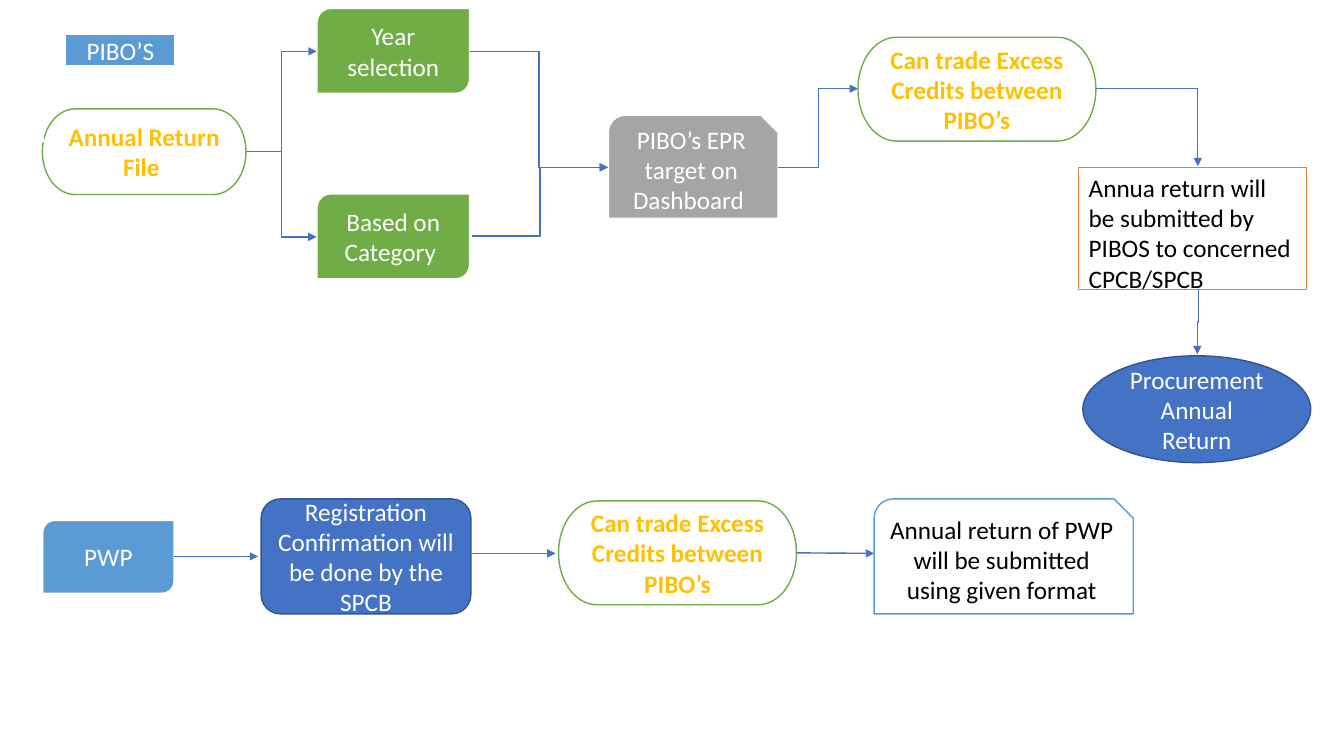
from dataclasses import dataclass
from lxml.etree import SubElement
from pptx import Presentation
from pptx.dml.color import RGBColor as Rgb
from pptx.enum.shapes import MSO_CONNECTOR as Wire, MSO_SHAPE as Kind
from pptx.enum.text import MSO_ANCHOR as Anchor, PP_ALIGN as Align
from pptx.oxml.ns import qn
from pptx.util import Inches, Pt

# Grid: 133.3 columns by 75 rows, each a tenth of an inch
CELL = Inches(0.1)
COLS, ROWS = 133.3, 75

WHITE, BLACK, GOLD = "FFFFFF", "000000", "FFC000"
BLUE, NAVY, SKY = "4472C4", "325491", "5B9BD5"
GREEN, GRAY, ORANGE = "70AD47", "A5A5A5", "ED7D31"


@dataclass
class Style:
    kind: Kind
    fill: str
    edge: str
    ink: str = WHITE
    width: float = 1
    bold: bool = False
    align: Align = Align.CENTER
    anchor: Anchor = Anchor.MIDDLE
    adjust: tuple = ()


@dataclass
class Node:
    name: str
    text: str
    col: float
    row: float
    wide: float
    high: float
    style: Style


@dataclass
class Link:
    start: tuple
    end: tuple
    bent: bool = True
    turn: int = 0
    adjust: int = 50000
    corner: bool = False
    source: str = ""


# Styles
STEP = Style(Kind.ROUND_2_DIAG_RECTANGLE, GREEN, WHITE, width=1.5)
ROLE = Style(Kind.ROUND_2_DIAG_RECTANGLE, SKY, WHITE, width=1.5)
PILL = Style(Kind.FLOWCHART_TERMINATOR, WHITE, GREEN, GOLD, bold=True)
GOAL = Style(Kind.SNIP_ROUND_RECTANGLE, GRAY, WHITE, width=1.5)
FORM = Style(Kind.SNIP_ROUND_RECTANGLE, WHITE, SKY, BLACK)
NOTE = Style(Kind.RECTANGLE, WHITE, ORANGE, BLACK,
             align=Align.LEFT, anchor=Anchor.TOP)
TAG = Style(Kind.LINE_CALLOUT_2_NO_BORDER, SKY, WHITE, width=1.5,
            adjust=(0.48, -0.04, 0.75, -0.24, 3.53, -0.22))
CHECK = Style(Kind.ROUNDED_RECTANGLE, BLUE, NAVY)
LAST = Style(Kind.OVAL, BLUE, NAVY)

TRADE = "Can trade Excess Credits between PIBO’s"

NODES = [
    # Upper flow
    Node("file", "Annual Return File ", 4.2, 10.8, 20.2, 8.5, PILL),
    Node("basis", "Based on Category ", 31.4, 19.2, 15.2, 8.5, STEP),
    Node("year", "Year selection", 31.4, 0.8, 15.2, 8.5, STEP),
    Node("goal", "PIBO’s EPR target on Dashboard ", 60.3, 11.4, 16.9, 10.3, GOAL),
    Node("swap", TRADE, 85.1, 3.7, 23.6, 10.3, PILL),
    Node("submit", "Annua return will be submitted by PIBOS to concerned CPCB/SPCB",
         107, 16.6, 22.6, 12.1, NOTE),
    Node("tag", "PIBO’S", 6.6, 3.5, 10.7, 3, TAG),
    Node("buy", "Procurement Annual Return", 107.4, 35.3, 22.6, 10.6, LAST),
    # Lower flow
    Node("pwp", "PWP", 4.2, 51.6, 13.1, 7.3, ROLE),
    Node("check", "Registration Confirmation will be done by the SPCB",
         25.9, 49.5, 20.8, 11.4, CHECK),
    Node("trade", TRADE, 55.4, 49.7, 23.6, 10.3, PILL),
    Node("form", "Annual return of PWP will be submitted using given format",
         86.7, 49.5, 25.7, 11.4, FORM),
]

# Turned links give their ends as they lie before the turn
LINKS = [
    Link((24.4, 15), (31.4, 23.5)),
    Link((34.6, 11.8), (24.7, 8.3), turn=90, corner=True),
    Link((46.6, 5.1), (60.3, 16.6)),
    Link((46.8, 23.4), (60.3, 16.6)),
    Link((77.2, 16.6), (85.1, 8.8)),
    Link((108.7, 8.8), (118.8, 16.5), adjust=100000),
    Link((115.6, 31.9), (122, 32), turn=90),
    Link((17.3, 55.2), (25.6, 55.2), bent=False),
    Link((46.8, 54.9), (55.1, 54.9), bent=False),
    Link((79, 54.9), (86.7, 54.9), bent=False, source="trade"),
]


def cells(count: float) -> int:
    return round(count * CELL)


def paint(form, color: str) -> None:
    form.solid()
    form.fore_color.rgb = Rgb.from_string(color)


def draw_node(slide, node: Node):
    style = node.style
    shape = slide.shapes.add_shape(
        style.kind, *map(cells, (node.col, node.row, node.wide, node.high)))
    shape.shadow.inherit = False
    for index, value in enumerate(style.adjust):
        shape.adjustments[index] = value
    paint(shape.fill, style.fill)
    paint(shape.line.fill, style.edge)
    shape.line.width = Pt(style.width)
    frame = shape.text_frame
    frame.word_wrap = True
    frame.vertical_anchor = style.anchor
    frame.text = node.text
    para = frame.paragraphs[0]
    para.alignment = style.align
    font = para.runs[0].font
    font.name, font.size, font.bold = "Calibri", Pt(18), style.bold
    paint(font.fill, style.ink)
    return shape


def draw_link(slide, link: Link, shapes: dict) -> None:
    wire = slide.shapes.add_connector(
        Wire.ELBOW if link.bent else Wire.STRAIGHT,
        *map(cells, link.start + link.end))
    if link.source:
        wire.begin_connect(shapes[link.source], 3)
    paint(wire.line.fill, BLUE)
    wire.line.width = Pt(1)
    props = wire._element.spPr
    # Arrowhead, and no shadow
    SubElement(props.find(qn("a:ln")), qn("a:tailEnd"), type="triangle")
    SubElement(props, qn("a:effectLst"))
    # Bend and turn
    geom = props.find(qn("a:prstGeom"))
    if link.corner:
        geom.set("prst", "bentConnector2")
    elif link.bent:
        SubElement(geom.find(qn("a:avLst")), qn("a:gd"),
                   name="adj1", fmla=f"val {link.adjust}")
    if link.turn:
        props.find(qn("a:xfrm")).set("rot", str(link.turn * 60000))


def main() -> None:
    deck = Presentation()
    deck.slide_width, deck.slide_height = cells(COLS), cells(ROWS)
    slide = deck.slides.add_slide(deck.slide_layouts[6])
    shapes = {node.name: draw_node(slide, node) for node in NODES}
    for link in LINKS:
        draw_link(slide, link, shapes)
    deck.save("out.pptx")


if __name__ == "__main__":
    main()
